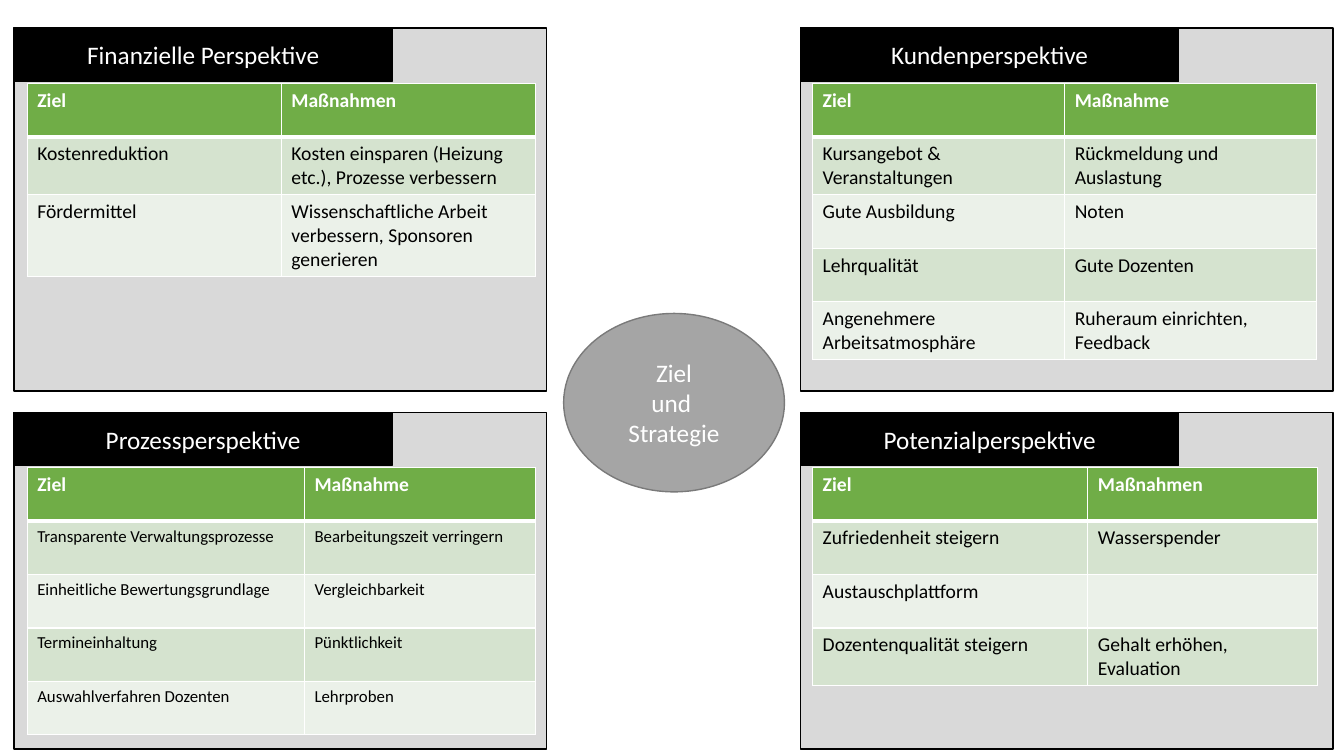
from lxml.etree import SubElement
from pptx import Presentation
from pptx.dml.color import RGBColor
from pptx.enum.shapes import MSO_SHAPE
from pptx.enum.text import MSO_ANCHOR, PP_ALIGN
from pptx.oxml.ns import qn
from pptx.util import Inches, Pt

WHITE = RGBColor(0xFF, 0xFF, 0xFF)
BLACK = RGBColor(0x00, 0x00, 0x00)
PANEL_GREY = RGBColor(0xD9, 0xD9, 0xD9)
GOAL_GREY = RGBColor(0xA5, 0xA5, 0xA5)
GOAL_EDGE = RGBColor(0x7A, 0x7A, 0x7A)
HEADER_GREEN = RGBColor(0x70, 0xAD, 0x47)
BANDS = [RGBColor(0xD5, 0xE3, 0xCF), RGBColor(0xEB, 0xF1, 0xE9)]

GOAL = ["Ziel", "und ", "Strategie"]
PERSPECTIVES = [
    {"title": "Finanzielle Perspektive", "column": 0, "row": 0,
     "widths": (2.52, 2.52), "size": 14, "entries": [
         ("Ziel", "Maßnahmen"),
         ("Kostenreduktion", "Kosten einsparen (Heizung etc.), Prozesse verbessern"),
         ("Fördermittel", "Wissenschaftliche Arbeit verbessern, Sponsoren generieren ")]},
    {"title": "Kundenperspektive", "column": 1, "row": 0,
     "widths": (2.5, 2.5), "size": 14, "entries": [
         ("Ziel", "Maßnahme"),
         ("Kursangebot & Veranstaltungen", "Rückmeldung und Auslastung"),
         ("Gute Ausbildung", "Noten"),
         ("Lehrqualität", "Gute Dozenten"),
         ("Angenehmere Arbeitsatmosphäre", "Ruheraum einrichten, Feedback")]},
    {"title": "Prozessperspektive", "column": 0, "row": 1,
     "widths": (2.75, 2.29), "size": 12, "entries": [
         ("Ziel", "Maßnahme"),
         ("Transparente Verwaltungsprozesse", "Bearbeitungszeit verringern "),
         ("Einheitliche Bewertungsgrundlage", "Vergleichbarkeit"),
         ("Termineinhaltung", "Pünktlichkeit"),
         ("Auswahlverfahren Dozenten", "Lehrproben")]},
    {"title": "Potenzialperspektive", "column": 1, "row": 1,
     "widths": (2.73, 2.28), "size": 14, "entries": [
         ("Ziel", "Maßnahmen"),
         ("Zufriedenheit steigern", "Wasserspender"),
         ("Austauschplattform", ""),
         ("Dozentenqualität steigern", "Gehalt erhöhen, Evaluation")]},
]

PANEL_LEFTS, PANEL_TOPS = (0.14, 7.94), (0.28, 4.09)
PANEL_WIDTH, PANEL_HEIGHTS = 5.28, (3.6, 3.34)
TITLE_WIDTH, ROW_HEIGHT = 3.75, 0.53
TABLE_LEFTS, TABLE_DROP = (0.27, 8.06), 0.55


def format_font(font, **values):
    """Apply Calibri, a colour and the given font values."""
    font.color.rgb = values.pop("color")
    for attribute, value in {"name": "Calibri", **values}.items():
        setattr(font, attribute, value)


def add_box(slide, kind, box, fill, edge, lines=()):
    """Add a filled, outlined shape with optional centred lines of text."""
    shape = slide.shapes.add_shape(kind, *map(Inches, box))
    shape.shadow.inherit = False
    shape.fill.solid()
    shape.fill.fore_color.rgb = fill
    shape.line.color.rgb = edge
    shape.line.width = Pt(1)
    frame = shape.text_frame
    frame.vertical_anchor = MSO_ANCHOR.MIDDLE
    for index, line in enumerate(lines):
        paragraph = frame.add_paragraph() if index else frame.paragraphs[0]
        paragraph.alignment = PP_ALIGN.CENTER
        run = paragraph.add_run()
        run.text = line
        format_font(run.font, size=Pt(18), color=WHITE)


def add_borders(cell, widths):
    """Draw white cell borders; widths maps each side to points."""
    properties = cell._tc.get_or_add_tcPr()
    for side, width in widths.items():
        border = SubElement(properties, qn(f"a:ln{side}"), w=str(Pt(width)))
        fill = SubElement(border, qn("a:solidFill"))
        SubElement(fill, qn("a:srgbClr"), val=str(WHITE))


def add_measures(slide, left, top, widths, size, entries):
    """Add the table of goals and measures."""
    table = slide.shapes.add_table(
        len(entries), len(widths), Inches(left), Inches(top),
        Inches(sum(widths)), Inches(ROW_HEIGHT * len(entries))).table
    for column, width in zip(table.columns, widths):
        column.width = Inches(width)
    for row, entry in enumerate(entries):
        header = row == 0
        table.rows[row].height = Inches(ROW_HEIGHT)
        for column, text in enumerate(entry):
            cell = table.cell(row, column)
            add_borders(cell, {"L": 1, "R": 1, "T": 3 if row == 1 else 1,
                               "B": 3 if header else 1})
            cell.fill.solid()
            cell.fill.fore_color.rgb = HEADER_GREEN if header else BANDS[(row - 1) % 2]
            if text:
                run = cell.text_frame.paragraphs[0].add_run()
                run.text = text
                format_font(run.font, size=Pt(14 if header else size), bold=header,
                            color=WHITE if header else BLACK)


def add_perspective(slide, title, column, row, widths, size, entries):
    """Add one panel with its title bar and table."""
    left, top = PANEL_LEFTS[column], PANEL_TOPS[row]
    add_box(slide, MSO_SHAPE.RECTANGLE,
            (left, top, PANEL_WIDTH, PANEL_HEIGHTS[row]), PANEL_GREY, BLACK)
    add_box(slide, MSO_SHAPE.RECTANGLE,
            (left, top, TITLE_WIDTH, ROW_HEIGHT), BLACK, BLACK, [title])
    add_measures(slide, TABLE_LEFTS[column], top + TABLE_DROP, widths, size, entries)


presentation = Presentation()
presentation.slide_width = Inches(13.33)
presentation.slide_height = Inches(7.5)
scorecard = presentation.slides.add_slide(presentation.slide_layouts[6])
for perspective in PERSPECTIVES:
    add_perspective(scorecard, **perspective)
add_box(scorecard, MSO_SHAPE.OVAL, (5.59, 3.11, 2.19, 1.77), GOAL_GREY, GOAL_EDGE, GOAL)
presentation.save("out.pptx")
